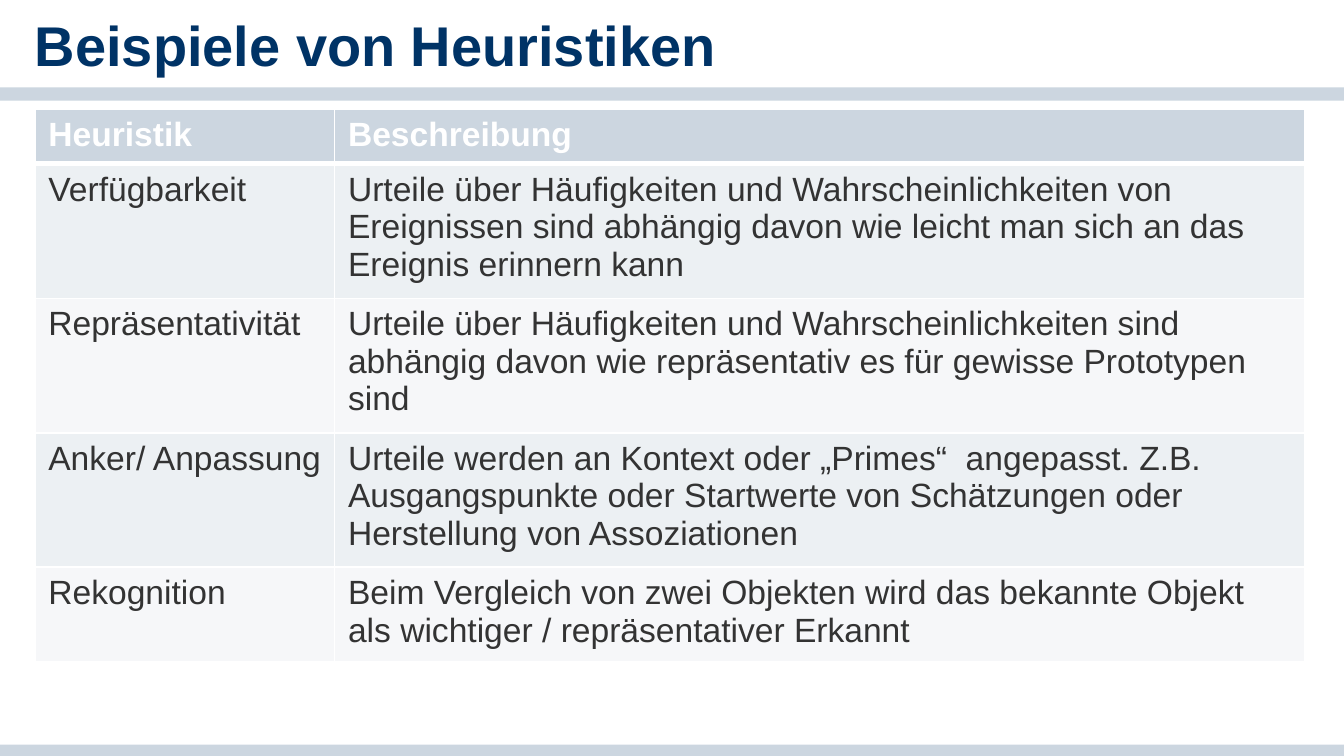
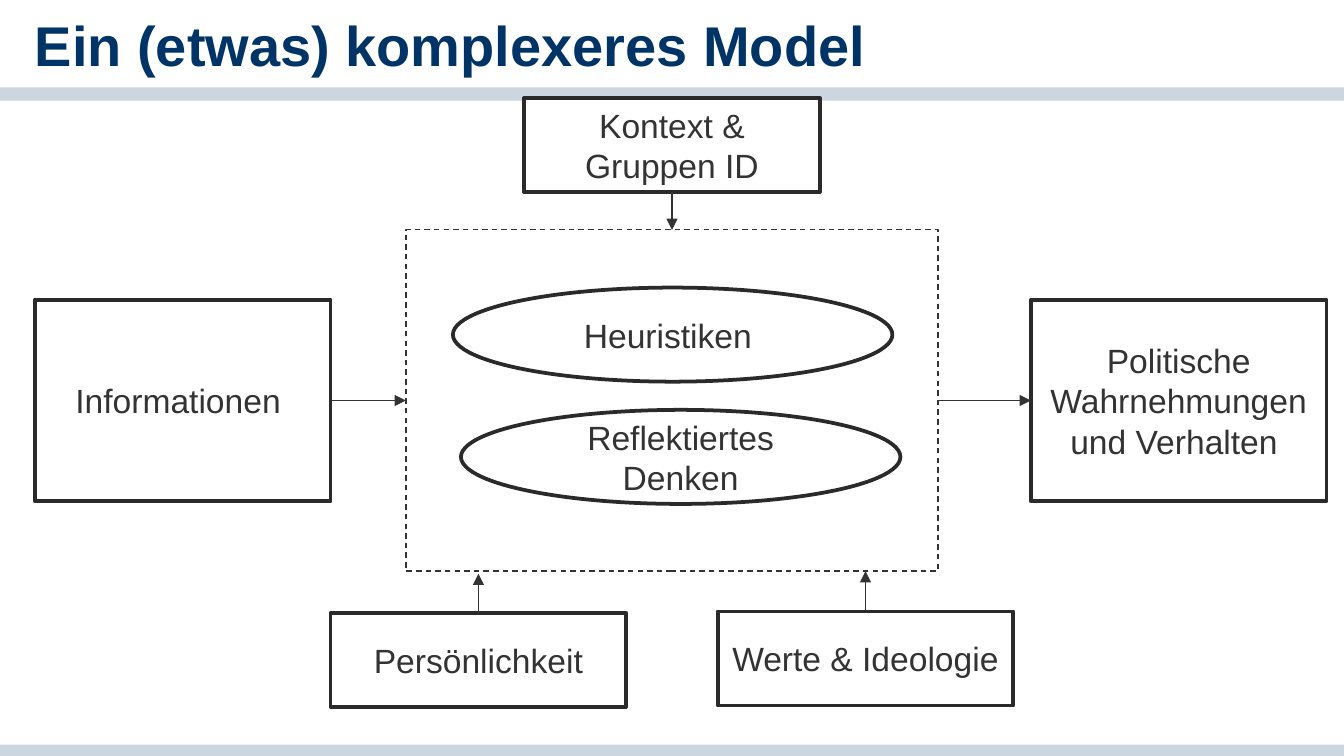
from dataclasses import dataclass

from lxml import etree
from pptx import Presentation, util as u
from pptx.dml.color import RGBColor
from pptx.enum import dml, shapes, text
from pptx.oxml import ns

RECT = shapes.MSO_SHAPE.RECTANGLE
ELLIPSE = shapes.MSO_SHAPE.OVAL
TOP, LEFT, BOTTOM, RIGHT = range(4)  # connection sites of a rectangle


@dataclass(frozen=True)
class Theme:
    font: str = "Arial"
    title_size: float = 30
    body_size: float = 18
    title: str = "003366"
    band: str = "CCD6E0"
    ink: str = "333333"
    outline: str = "2A2A2A"
    paper: str = "FFFFFF"
    stripes: tuple = ("ECF0F3", "F6F7F9")
    thick: float = 2
    thin: float = 0.75


THEME = Theme()
COLUMNS, ROWS = 100, 56.25  # square grid cells on the slide
UNIT = u.Inches(10) // COLUMNS
MARGIN = 2.6

HEURISTICS = [
    ("Heuristik", "Beschreibung"),
    ("Verfügbarkeit",
     "Urteile über Häufigkeiten und Wahrscheinlichkeiten von Ereignissen sind "
     "abhängig davon wie leicht man sich an das Ereignis erinnern kann"),
    ("Repräsentativität",
     "Urteile über Häufigkeiten und Wahrscheinlichkeiten sind abhängig davon "
     "wie repräsentativ es für gewisse Prototypen sind"),
    ("Anker/ Anpassung",
     "Urteile werden an Kontext oder „Primes“  angepasst. Z.B. Ausgangspunkte "
     "oder Startwerte von Schätzungen oder Herstellung von Assoziationen"),
    ("Rekognition",
     "Beim Vergleich von zwei Objekten wird das bekannte Objekt als wichtiger "
     "/ repräsentativer Erkannt"),
]


def grid(*cells):
    """Turn grid columns or rows into slide lengths."""
    return [u.Emu(round(cell * UNIT)) for cell in cells]


def rgb(colour):
    return RGBColor.from_string(colour)


def write(frame, words, size=THEME.body_size, colour=THEME.ink, bold=False):
    frame.word_wrap = True
    para = frame.paragraphs[0]
    para.text = words
    font = para.font
    font.name, font.size, font.bold = THEME.font, u.Pt(size), bold
    font.color.rgb = rgb(colour)
    return para


def paint(target, colour):
    target.fill.solid()
    target.fill.fore_color.rgb = rgb(colour)


def draw_line(line, colour, width):
    line.color.rgb = rgb(colour)
    line.width = u.Pt(width)


def add_plain(page, kind, place):
    shape = page.shapes.add_shape(kind, *grid(*place))
    shape.shadow.inherit = False
    return shape


def add_band(page, top):
    band = add_plain(page, RECT, (0, top, COLUMNS, 1))
    paint(band, THEME.band)
    band.line.fill.background()


def add_page(deck, title):
    """Start a slide with both bands and its title."""
    page = deck.slides.add_slide(deck.slide_layouts[6])
    for top in (55.4, 6.5):
        add_band(page, top)
    frame = page.shapes.add_textbox(*grid(MARGIN, 0.8, 70.6, 4.7)).text_frame
    frame.margin_left = frame.margin_right = 0
    frame.margin_top = frame.margin_bottom = 0
    write(frame, title, THEME.title_size, THEME.title, True)
    return page


def add_borders(cell, bottom):
    properties = cell._tc.get_or_add_tcPr()
    widths = {"a:lnL": 1, "a:lnR": 1, "a:lnT": 1, "a:lnB": bottom}
    for place, (tag, width) in enumerate(widths.items()):
        edge = etree.Element(ns.qn(tag), w=str(u.Pt(width)))
        fill = etree.SubElement(edge, ns.qn("a:solidFill"))
        etree.SubElement(fill, ns.qn("a:srgbClr"), val=THEME.paper)
        properties.insert(place, edge)


def add_table(page, records, place, widths, row_height):
    """Place a table whose rows grow with their text."""
    frame = page.shapes.add_table(len(records), len(widths), *grid(*place))
    table = frame.table
    for column, width in zip(table.columns, grid(*widths)):
        column.width = width
    for row, record in enumerate(records):
        header = row == 0
        fill = THEME.band if header else THEME.stripes[(row - 1) % 2]
        table.rows[row].height = grid(row_height)[0]
        for column, words in enumerate(record):
            cell = table.cell(row, column)
            paint(cell, fill)
            add_borders(cell, 3 if header else 1)
            write(cell.text_frame, words, bold=header,
                  colour=THEME.paper if header else THEME.ink)
    frame.width, frame.height = grid(*place[2:])


def add_node(page, words, place, kind=RECT):
    node = add_plain(page, kind, place)
    paint(node, THEME.paper)
    draw_line(node.line, THEME.outline, THEME.thick)
    node.text_frame.vertical_anchor = text.MSO_ANCHOR.MIDDLE
    write(node.text_frame, words).alignment = text.PP_ALIGN.CENTER
    return node


def add_dashed_frame(page, place):
    frame = add_plain(page, RECT, place)
    frame.fill.background()
    draw_line(frame.line, THEME.ink, THEME.thin)
    frame.line.dash_style = dml.MSO_LINE.DASH
    return frame


def add_arrow(page, source, site, end):
    """Lead an arrow from a connection site of source to a grid point."""
    arrow = page.shapes.add_connector(
        shapes.MSO_CONNECTOR.STRAIGHT, 0, 0, *grid(*end))
    arrow.begin_connect(source, site)
    draw_line(arrow.line, THEME.ink, THEME.thin)
    etree.SubElement(arrow.line._get_or_add_ln(), ns.qn("a:tailEnd"),
                     type="triangle")
    etree.SubElement(arrow._element.spPr, ns.qn("a:effectLst"))


def add_model(page):
    """Draw the influences around the two ways of thinking."""
    side, slim, oval = (22, 15), (22, 7), (32.7, 7)
    left, top, width, height = core = (30.2, 17.1, 39.6, 25.4)
    right, bottom = left + width, top + height
    middle, centre = top + height / 2, left + width / 2
    side_top = 22.3
    outcome_left = 76.7

    add_node(page, "Politische Wahrnehmungen und Verhalten ",
             (outcome_left, side_top, *side))
    add_node(page, "Reflektiertes Denken", (34.3, 30.5, *oval), ELLIPSE)
    personality = add_node(page, "Persönlichkeit", (24.6, 45.6, *slim))
    values = add_node(page, "Werte & Ideologie", (53.4, 45.5, *slim))
    context = add_node(page, "Kontext & Gruppen ID",
                       (centre - slim[0] / 2, 7.3, *slim))
    add_node(page, "Heuristiken ", (33.7, 21.4, *oval), ELLIPSE)
    thinking = add_dashed_frame(page, core)
    information = add_node(page, "Informationen ", (MARGIN, side_top, *side))

    add_arrow(page, information, RIGHT, (left, middle))
    add_arrow(page, thinking, RIGHT, (outcome_left, middle))
    add_arrow(page, personality, TOP, (35.6, bottom + 0.2))
    add_arrow(page, values, TOP, (64.4, bottom))
    add_arrow(page, context, BOTTOM, (centre, top))


def main():
    deck = Presentation()
    deck.slide_width, deck.slide_height = grid(COLUMNS, ROWS)
    page = add_page(deck, "Beispiele von Heuristiken")
    add_table(page, HEURISTICS, (MARGIN, 8.1, 94.5, 41.1), (22.3, 72.2), 4.1)
    add_model(add_page(deck, "Ein (etwas) komplexeres Model"))
    deck.save("out.pptx")


if __name__ == "__main__":
    main()
